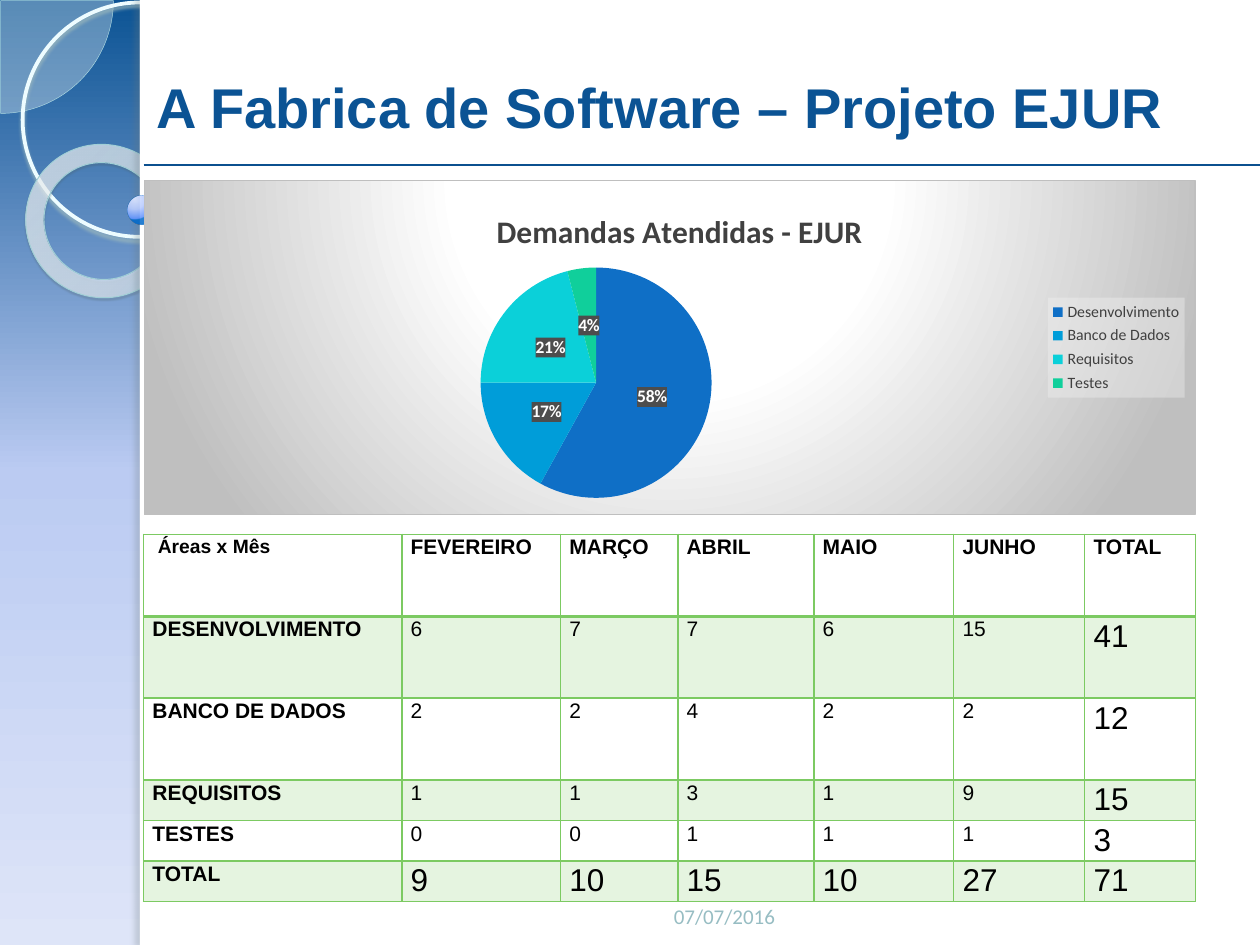
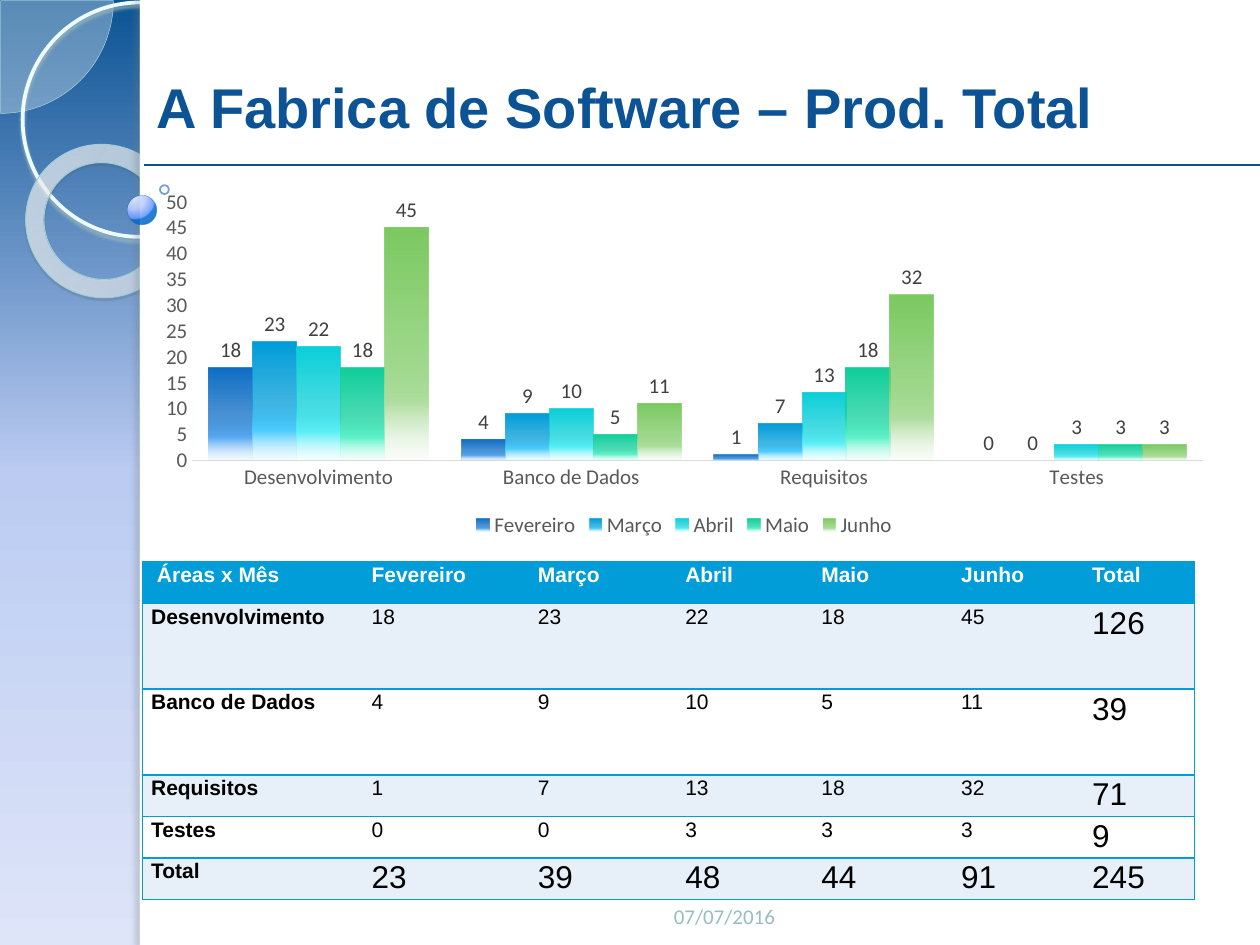
from lxml import etree
from pptx import Presentation
from pptx.chart.data import CategoryChartData
from pptx.dml.color import RGBColor
from pptx.enum.chart import (XL_CHART_TYPE as ChartType, XL_LABEL_POSITION as LabelPosition,
                             XL_LEGEND_POSITION as LegendPosition, XL_TICK_MARK as TickMark)
from pptx.enum.shapes import MSO_CONNECTOR as Connector, MSO_SHAPE as Shape
from pptx.enum.text import MSO_ANCHOR as Anchor, PP_ALIGN as Align
from pptx.oxml import parse_xml
from pptx.util import Inches, Pt

# Content
AREAS = ["Desenvolvimento", "Banco de Dados", "Requisitos", "Testes"]
MONTHS = ["Fevereiro", "Março", "Abril", "Maio", "Junho"]
CORNER = " Áreas x Mês"
DATE = "07/07/2016"
PROJECT_TITLE = "A Fabrica de Software – Projeto EJUR"
TOTAL_TITLE = "A Fabrica de Software – Prod. Total"
PIE_TITLE = "Demandas Atendidas - EJUR"
PROJECT_COUNTS = [[6, 7, 7, 6, 15], [2, 2, 4, 2, 2], [1, 1, 3, 1, 9], [0, 0, 1, 1, 1]]
TOTAL_COUNTS = [[18, 23, 22, 18, 45], [4, 9, 10, 5, 11], [1, 7, 13, 18, 32], [0, 0, 3, 3, 3]]

# Shared look
WIDTH, HEIGHT = 10, 7.5
LEFT, CONTENT_WIDTH = 1.14, 8.35
NAVY, BLACK, WHITE = "0B5394", "000000", "FFFFFF"
GREEN, SKY = "7CCA62", "009DD9"
ACCENTS = ["0F6FC6", SKY, "0BD0D9", "10CF9B", GREEN]
MID_TINTS = ["59AAF2", "4FCEFF", "5EF0F7", "5FF3CA", "B0DFA1"]
PALE_TINTS = ["C8E3FB", "C4EFFF", "C9FAFC", "CAFBED", "E5F4E0"]
BACKGROUND = [(0, NAVY), (50, "BBCBF2"), (100, "DEE5F8")]
NAMESPACES = ('xmlns:a="http://schemas.openxmlformats.org/drawingml/2006/main" '
              'xmlns:c="http://schemas.openxmlformats.org/drawingml/2006/chart"')

# Side band, from back to front; line is (colour, width, opacity),
# shadow is (colour, opacity, blur, distance, angle)
BAND = [
    dict(kind=Shape.PIE, box=(-0.89, -0.89, 1.79, 1.79), adjust=[0, 54.02],
         fill=("F8FEFF", 33), line=("AFDBE2", 0.25, 100)),
    dict(kind=Shape.OVAL, box=(0.18, 0.02, 1.86, 1.86), line=("EDFCFF", 2.15, 100),
         shadow=("9CB9BE", 85, 2, 2, 90)),
    dict(kind=Shape.DONUT, box=(0.2, 1.15, 1.23, 1.21), adjust=[0.12], rotation=38.6,
         stops=[(0, "F9FEFF", 70), (70, "FDFFFF", 55), (100, "9EF2FF", 60)],
         focus=(-408, -50, 508, 150), line=("A1CFD6", 0.58, 100),
         shadow=("4B5E61", 35, 1, 1.2, 75)),
    dict(kind=Shape.RECTANGLE, box=(1.11, 0, 8.89, HEIGHT), fill=(WHITE, 100)),
    dict(kind=Shape.RECTANGLE, box=(1.11, 0, 0.08, HEIGHT), fill=(WHITE, 100),
         shadow=("6C7A7C", 25, 3, 3, 180)),
    dict(kind=Shape.OVAL, box=(1.01, 1.55, 0.23, 0.23),
         stops=[(0, "DDE6FF", 95), (50, "BCCEFF", 90), (95, "6395FF", 88), (100, "006BCB", 85)],
         focus=(25, 12, 75, 88), line=("066AC6", 0.16, 60)),
    dict(kind=Shape.OVAL, box=(1.27, 1.47, 0.07, 0.07), line=("0D62AF", 1, 60)),
]


def rgb(color):
    return RGBColor.from_string(color)


def inches(*lengths):
    return [Inches(length) for length in lengths]


def xml(text):
    head, rest = text.split(">", 1) if not text.split(">", 1)[0].endswith("/") else (text[:-2], None)
    return parse_xml(f"{head} {NAMESPACES}/>" if rest is None else f"{head} {NAMESPACES}>{rest}")


def color_xml(color, opacity=100):
    return f'<a:srgbClr val="{color}"><a:alpha val="{opacity * 1000}"/></a:srgbClr>'


def solid_xml(color, opacity=100):
    return f"<a:solidFill>{color_xml(color, opacity)}</a:solidFill>"


def gradient_xml(stops, focus=None):
    """Vertical gradient, or a circular one around the focus rectangle (l, t, r, b in %)."""
    marks = "".join(f'<a:gs pos="{place * 1000}">{color_xml(*color)}</a:gs>'
                    for place, *color in stops)
    direction = '<a:lin ang="5400000" scaled="0"/>'
    if focus:
        sides = " ".join(f'{side}="{share * 1000}"' for side, share in zip("ltrb", focus))
        direction = f'<a:path path="circle"><a:fillToRect {sides}/></a:path>'
    return f'<a:gradFill rotWithShape="1"><a:gsLst>{marks}</a:gsLst>{direction}</a:gradFill>'


def paint(fill, owner, fill_xml):
    """Replace the owner's own fill, the first one in its XML."""
    fill.solid()
    fill.fore_color.rgb = rgb(WHITE)
    old = owner.xpath(".//a:solidFill")[0]
    old.getparent().replace(old, xml(fill_xml))


def style_font(font, size, color, bold=False, name="Calibri"):
    font.size, font.bold, font.name = Pt(size), bold, name
    font.color.rgb = rgb(color)


# Shared layout
def add_band_shape(shapes, kind, box, adjust=(), rotation=0, fill=None, stops=None,
                   focus=None, line=None, shadow=None):
    shape = shapes.add_shape(kind, *inches(*box))
    shape.rotation = rotation
    for index, value in enumerate(adjust):
        shape.adjustments[index] = value
    if fill or stops:
        paint(shape.fill, shape.element, solid_xml(*fill) if fill else gradient_xml(stops, focus))
    else:
        shape.fill.background()
    if line:
        color, width, opacity = line
        shape.line.width = Pt(width)
        shape.line.color.rgb = rgb(color)
        line_color = shape.element.xpath(".//a:ln//a:srgbClr")[0]
        line_color.append(xml(f'<a:alpha val="{opacity * 1000}"/>'))
    else:
        shape.line.fill.background()
    shape.shadow.inherit = False
    if shadow:
        color, opacity, blur, distance, angle = shadow
        shape.element.xpath(".//a:effectLst")[0].append(xml(
            f'<a:outerShdw blurRad="{Pt(blur)}" dist="{Pt(distance)}" dir="{angle * 60000}" '
            f'algn="ctr" rotWithShape="0">{color_xml(color, opacity)}</a:outerShdw>'))
    return shape


def build_layout(layout, slide):
    """Draw the band and title rule on a slide, then move them to its layout."""
    paint(layout.background.fill, layout.element, gradient_xml(BACKGROUND))
    parts = [add_band_shape(slide.shapes, **part) for part in BAND]
    rule = slide.shapes.add_connector(Connector.STRAIGHT, *inches(LEFT, 1.31, WIDTH, 1.31))
    rule.line.color.rgb, rule.line.width = rgb("0B508F"), Pt(0.75)
    rule.element.spPr.append(xml("<a:effectLst/>"))
    tree = layout.element.xpath(".//p:spTree")[0]
    for index, part in enumerate(parts + [rule], start=2):
        tree.insert(index, part.element)


def add_title_and_date(slide, text):
    title = slide.shapes.title
    title.left, title.top, title.width, title.height = inches(LEFT, 0.52, CONTENT_WIDTH, 0.64)
    title.text_frame.text = text
    title.text_frame.vertical_anchor = Anchor.MIDDLE
    paragraph = title.text_frame.paragraphs[0]
    paragraph.alignment = Align.LEFT
    style_font(paragraph.font, 32, NAVY, True, "Arial")

    frame = slide.shapes.add_textbox(*inches(3.92, 6.9, 2.33, 0.52)).text_frame
    frame.word_wrap, frame.vertical_anchor = True, Anchor.BOTTOM
    frame.text = DATE
    frame.paragraphs[0].alignment = Align.RIGHT
    style_font(frame.paragraphs[0].font, 12, "97BDC3")


# Tables
def with_totals(counts):
    rows = [row + [sum(row)] for row in counts]
    return rows + [[sum(column) for column in zip(*rows)]]


def set_border(cell, side, color, width):
    fill = solid_xml(color) if width else "<a:noFill/>"
    cell._tc.get_or_add_tcPr().append(xml(f'<a:ln{side} w="{Pt(width)}">{fill}</a:ln{side}>'))


def add_count_table(slide, counts, left, top, columns, rows, line, band, header_fill=WHITE,
                    header_color=BLACK, corner_size=12, grid=True, header_rule=1, upper=False):
    labels = AREAS + ["Total"]
    content = [[CORNER] + MONTHS + ["Total"]]
    content += [[label] + row for label, row in zip(labels, with_totals(counts))]
    last_row, last_column = len(rows) - 1, len(columns) - 1
    table = slide.shapes.add_table(len(rows), len(columns),
                                   *inches(left, top, sum(columns), sum(rows))).table
    table.first_row = table.horz_banding = False
    for column, width in zip(table.columns, columns):
        column.width = Inches(width)
    for row, height in zip(table.rows, rows):
        row.height = Inches(height)
    for r, values in enumerate(content):
        for c, value in enumerate(values):
            cell = table.cell(r, c)
            cell.margin_left = cell.margin_right = Inches(0.07)
            cell.margin_top = cell.margin_bottom = 0
            corner, label = r == c == 0, r == 0 or c == 0
            cell.text = str(value).upper() if upper and not corner else str(value)
            is_total = not label and (r == last_row or c == last_column)
            size = corner_size if corner else 18 if is_total else 12
            paragraph = cell.text_frame.paragraphs[0]
            paragraph.line_spacing = 1.07
            style_font(paragraph.font, size, BLACK if r else header_color, label, "Arial")
            set_border(cell, "L", line, 1 if grid or c == 0 else 0)
            set_border(cell, "R", line, 1 if grid or c == last_column else 0)
            set_border(cell, "T", line, header_rule if r == 1 else 1)
            set_border(cell, "B", line, header_rule if r == 0 else 1)
            cell.fill.solid()
            cell.fill.fore_color.rgb = rgb(header_fill if r == 0 else band if r % 2 else WHITE)


# Charts
def add_chart(slide, kind, box, series):
    data = CategoryChartData()
    data.categories = AREAS
    for name, values in series:
        data.add_series(name, values)
    chart = slide.shapes.add_chart(kind, *inches(*box), data).chart
    style_font(chart.font, 10, BLACK)
    chart.has_legend = True
    chart.legend.include_in_layout = False
    return chart


def place(owner, x, y, width=None, height=None, inner=False):
    """Fix a chart part at shares of the chart's size."""
    for old in owner.xpath("c:layout"):
        owner.remove(old)
    target = '<c:layoutTarget val="inner"/>' if inner else ""
    modes = '<c:xMode val="edge"/><c:yMode val="edge"/>'
    sizes = "".join(f'<c:{tag} val="{share}"/>'
                    for tag, share in zip("xywh", (x, y, width, height)) if share is not None)
    layout = xml(f"<c:layout><c:manualLayout>{target}{modes}{sizes}</c:manualLayout></c:layout>")
    if inner:
        owner.insert(0, layout)
    else:
        owner.xpath("c:overlay")[0].addprevious(layout)


def set_box(owner, fill_xml, line_xml=""):
    owner.xpath("c:txPr")[0].addprevious(xml(f"<c:spPr>{fill_xml}{line_xml}</c:spPr>"))


def add_share_pie(slide):
    totals = [sum(row) for row in PROJECT_COUNTS]
    shares = [round(100 * total / sum(totals)) for total in totals]
    chart = add_chart(slide, ChartType.PIE, (LEFT, 1.43, CONTENT_WIDTH, 2.66),
                      [(PIE_TITLE, shares)])
    chart.has_title = True
    chart.chart_title.text_frame.text = PIE_TITLE
    style_font(chart.chart_title.text_frame.paragraphs[0].font, 18, "404040", True)
    chart.legend.position = LegendPosition.RIGHT
    style_font(chart.legend.font, 9, "404040")

    plot = chart.plots[0]
    plot.vary_by_categories = True
    for index in range(len(AREAS)):
        fill = plot.series[0].points[index].format.fill
        fill.solid()
        fill.fore_color.rgb = rgb(ACCENTS[index])
    labels = plot.series[0].data_labels
    labels.show_percentage, labels.show_value = True, False
    labels.position = LabelPosition.CENTER
    style_font(labels.font, 10, WHITE, True)

    root = chart.element
    set_box(root, gradient_xml([(0, WHITE), (39, WHITE), (100, "BFBFBF")], (50, -80, 50, 180)),
            f'<a:ln w="{Pt(0.75)}">{solid_xml("BFBFBF")}</a:ln>')
    set_box(root.xpath(".//c:ser/c:dLbls")[0], solid_xml("4D4D4D"))
    set_box(root.xpath(".//c:legend")[0], solid_xml("F2F2F2", 39))
    place(root.xpath("c:chart/c:title")[0], 0.33, 0.07)
    place(root.xpath(".//c:legend")[0], 0.86, 0.35, 0.13, 0.3)
    place(root.xpath(".//c:plotArea")[0], 0.32, 0.26, 0.22, 0.69, inner=True)


def add_month_columns(slide):
    chart = add_chart(slide, ChartType.COLUMN_CLUSTERED, (LEFT, 1.46, 8.58, 2.85),
                      zip(MONTHS, zip(*TOTAL_COUNTS)))
    chart.has_title = False
    chart.legend.position = LegendPosition.BOTTOM
    style_font(chart.legend.font, 12, "595959")
    for axis in (chart.category_axis, chart.value_axis):
        axis.major_tick_mark = axis.minor_tick_mark = TickMark.NONE
        axis.has_major_gridlines = False
        style_font(axis.tick_labels.font, 12, "595959")
    chart.category_axis.format.line.color.rgb = rgb("D9D9D9")
    chart.category_axis.format.line.width = Pt(0.75)
    chart.value_axis.format.line.fill.background()
    chart.value_axis.minimum_scale, chart.value_axis.maximum_scale = 0, 50
    chart.value_axis.major_unit = 5

    plot = chart.plots[0]
    plot.vary_by_categories = False
    plot.gap_width, plot.overlap = 75, 0
    elements = chart.element.xpath(".//c:ser")
    for series, element, *tones in zip(plot.series, elements, ACCENTS, MID_TINTS, PALE_TINTS):
        accent, middle, pale = tones
        stops = [(0, accent), (51, accent, 75), (75, middle), (100, pale, 15)]
        paint(series.format.fill, element, gradient_xml(stops))
        series.data_labels.show_value = True
        series.data_labels.position = LabelPosition.OUTSIDE_END
        style_font(series.data_labels.font, 12, "404040")
    place(chart.element.xpath(".//c:plotArea")[0], 0.045, 0.05, 0.935, 0.72, inner=True)


def main():
    presentation = Presentation()
    presentation.slide_width, presentation.slide_height = inches(WIDTH, HEIGHT)
    layout = presentation.slide_layouts[5]
    project, total = [presentation.slides.add_slide(layout) for _ in range(2)]
    build_layout(layout, project)

    # Project demands
    add_title_and_date(project, PROJECT_TITLE)
    add_count_table(project, PROJECT_COUNTS, LEFT, 4.24,
                    [2.05, 1.26, 0.93, 1.08, 1.11, 1.04, 0.88], [0.65] * 3 + [0.32] * 3,
                    GREEN, "E5F4E0", corner_size=11, header_rule=2, upper=True)
    add_share_pie(project)

    # Total production
    add_title_and_date(total, TOTAL_TITLE)
    add_count_table(total, TOTAL_COUNTS, LEFT - 0.01, 4.46,
                    [1.75, 1.32, 1.17, 1.08, 1.11, 1.04, 0.88], [0.33] + [0.68] * 2 + [0.33] * 3,
                    SKY, "E7EFF8", header_fill=SKY, header_color=WHITE, grid=False)
    add_month_columns(total)
    presentation.save("out.pptx")


if __name__ == "__main__":
    main()
